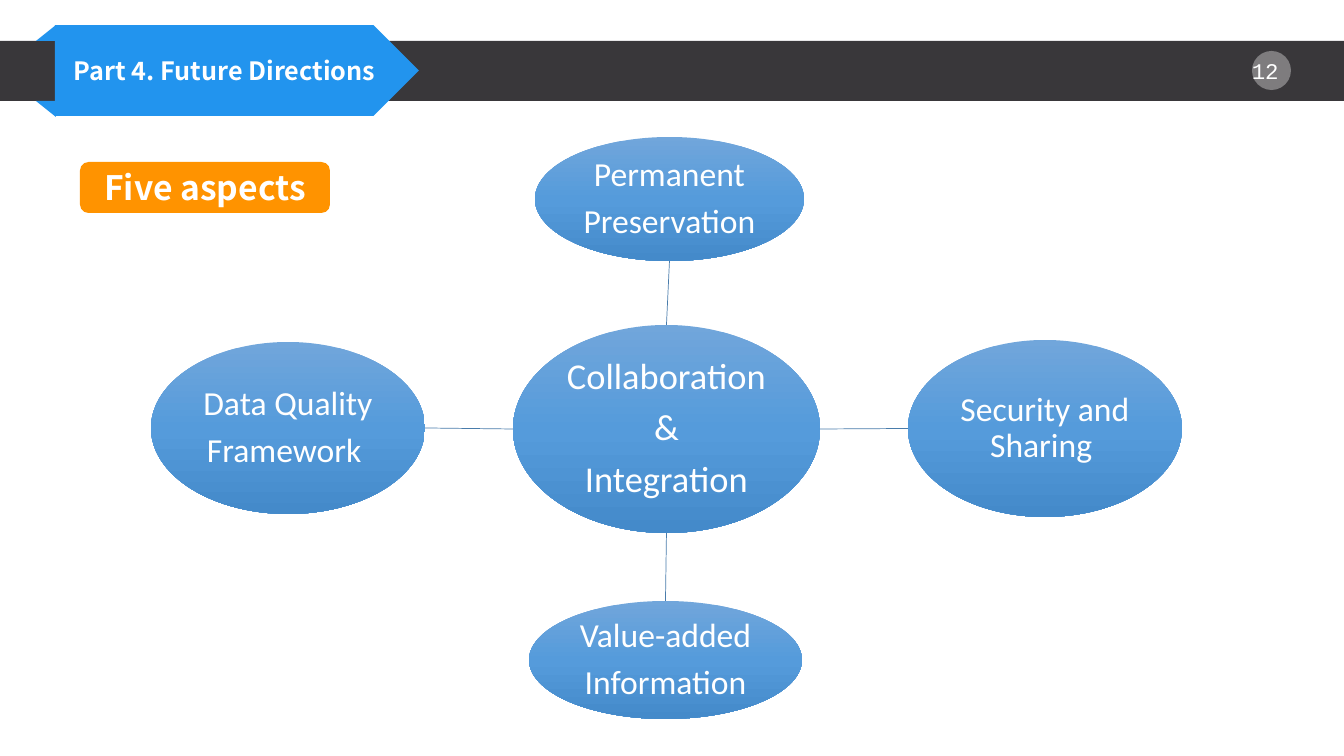
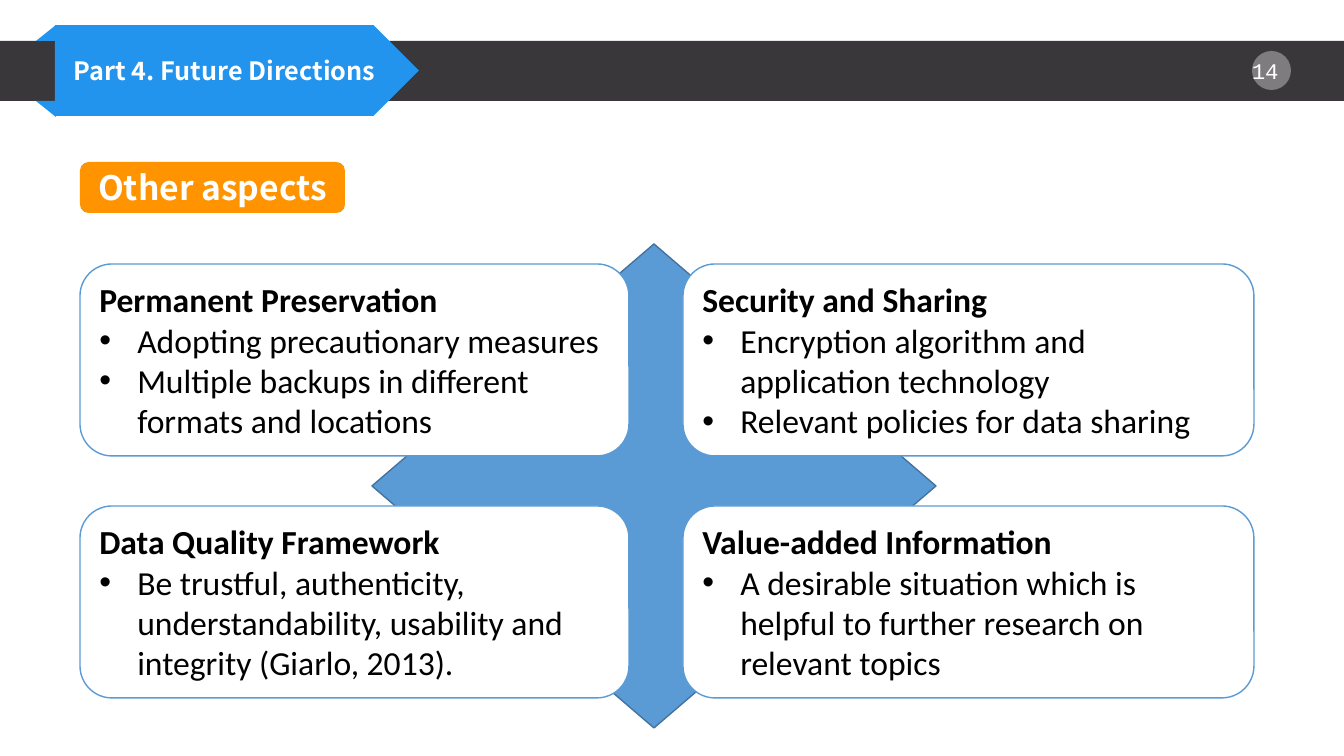
from copy import deepcopy

from pptx import Presentation
from pptx.dml.color import RGBColor
from pptx.enum.shapes import MSO_CONNECTOR as CONNECTOR, MSO_SHAPE as SHAPE
from pptx.enum.text import MSO_ANCHOR as ANCHOR, PP_ALIGN as ALIGN
from pptx.oxml.ns import qn
from pptx.oxml.xmlchemy import OxmlElement
from pptx.util import Pt

SLIDE_W, SLIDE_H = 1344, 756
SCALE = 12192000 / SLIDE_W

WHITE = RGBColor(0xFF, 0xFF, 0xFF)
BLACK = RGBColor(0x00, 0x00, 0x00)
CHARCOAL = RGBColor(0x39, 0x37, 0x3A)
RIBBON_BLUE = RGBColor(0x22, 0x94, 0xEE)
ORANGE = RGBColor(0xFF, 0x93, 0x00)
PANEL_BLUE = RGBColor(0x5B, 0x9B, 0xD5)
DIAMOND_EDGE = RGBColor(0x43, 0x73, 0x9E)
SPOKE_BLUE = RGBColor(0x49, 0x7C, 0xAB)
BUBBLE_STOPS = (
    (0, RGBColor(0x71, 0xA6, 0xDB)),
    (0.5, RGBColor(0x55, 0x9B, 0xDB)),
    (1, RGBColor(0x44, 0x8A, 0xCA)),
)

TITLE_FONT = "Noto Sans CJK SC"
BODY_FONT = "Calibri"
NUMBER_FONT = "Courier New"

SECTION = "Part 4. Future Directions"
HUB = ((513, 325, 307, 208), ("Collaboration", "&", "Integration"))
SATELLITES = (
    ((0, -1), (535, 137, 269, 124), ("Permanent", "Preservation")),
    ((1, 0), (908, 340, 274, 177), ("Security and Sharing ",)),
    ((0, 1), (529, 601, 273, 118), ("Value-added", "Information")),
    ((-1, 0), (151, 342, 274, 172), ("Data Quality", "Framework ")),
)
PANELS = (
    (("Permanent Preservation",
      "Adopting precautionary measures",
      "Multiple backups in different formats and locations"),
     ("Security and Sharing",
      "Encryption algorithm and application technology",
      "Relevant policies for data sharing")),
    (("Data Quality Framework",
      "Be trustful, authenticity, understandability, usability and "
      "integrity (Giarlo, 2013)."),
     ("Value-added Information",
      "A desirable situation which is helpful to further research on "
      "relevant topics")),
)


def px(length):
    """Turn px into EMU."""
    return round(length * SCALE)


def add_box(slide, preset, box, fill=None, line=None):
    """Add a flat preset shape with an optional solid fill and outline."""
    shape = slide.shapes.add_shape(preset, *map(px, box))
    shape.shadow.inherit = False
    if fill is not None:
        shape.fill.solid()
        shape.fill.fore_color.rgb = fill
    if line is None:
        shape.line.fill.background()
    else:
        shape.line.color.rgb = line
        shape.line.width = Pt(1)
    return shape


def write(shape, lines, size, font=BODY_FONT, color=WHITE, bold=False,
          align=ALIGN.CENTER, anchor=ANCHOR.MIDDLE, inset=None, wrap=True,
          spacing=None, gap=0, bullets=False):
    """Write lines as paragraphs; with bullets, the first is a bold heading."""
    frame = shape.text_frame
    frame.word_wrap = wrap
    frame.vertical_anchor = anchor
    if inset is not None:
        frame.margin_left = frame.margin_right = px(inset)
        frame.margin_top = frame.margin_bottom = px(inset)
    for index, line in enumerate(lines):
        paragraph = frame.add_paragraph() if index else frame.paragraphs[0]
        paragraph.alignment = align
        paragraph.line_spacing = spacing
        if index and gap:
            paragraph.space_before = Pt(gap)
        if index and bullets:
            add_bullet(paragraph)
        run = paragraph.add_run()
        run.text = line
        run.font.name = font
        run.font.size = Pt(size)
        run.font.bold = bold or (bullets and index == 0)
        run.font.color.rgb = color


def add_bullet(paragraph, indent=38):
    """Give a paragraph a hanging round bullet."""
    properties = paragraph._p.get_or_add_pPr()
    properties.set("marL", str(px(indent)))
    properties.set("indent", str(-px(indent)))
    bullet_font = OxmlElement("a:buFont")
    bullet_font.set("typeface", "Arial")
    bullet = OxmlElement("a:buChar")
    bullet.set("char", "•")
    properties.extend((bullet_font, bullet))


def add_fold(slide, box, flips):
    """Add a ribbon fold flipped along the given axes."""
    fold = add_box(slide, SHAPE.RIGHT_TRIANGLE, box, RIBBON_BLUE)
    for flip in flips:
        fold._element.spPr.xfrm.set(flip, "1")


def add_header(slide, number):
    """Draw the dark band, the section ribbon and the page number."""
    add_box(slide, SHAPE.RECTANGLE, (0, 41, SLIDE_W, 60), CHARCOAL)
    disc = add_box(slide, SHAPE.OVAL, (1252, 51, 39, 39), WHITE)
    alpha = OxmlElement("a:alpha")
    alpha.set("val", "35000")
    disc._element.spPr.find(".//" + qn("a:srgbClr")).append(alpha)
    page = slide.shapes.add_textbox(*map(px, (1236, 52, 72, 37)))
    write(page, [f"{number} "], 16, NUMBER_FONT, anchor=ANCHOR.TOP)
    add_box(slide, SHAPE.PENTAGON, (55, 25, 364, 91), RIBBON_BLUE)
    add_fold(slide, (36, 25, 20, 16), ("flipH",))
    add_fold(slide, (36, 101, 20, 16), ("flipH", "flipV"))
    section = slide.shapes.add_textbox(*map(px, (64, 50, 563, 40)))
    write(section, [SECTION], 18, TITLE_FONT, bold=True, align=ALIGN.LEFT)


def add_tag(slide, label, width):
    """Draw the orange slide heading."""
    tag = add_box(slide, SHAPE.ROUNDED_RECTANGLE, (80, 162, width, 51), ORANGE)
    write(tag, [label], 24, TITLE_FONT, bold=True, inset=0, wrap=False)


def add_bubble(slide, box, lines, size):
    """Draw one shaded ellipse with its label."""
    bubble = add_box(slide, SHAPE.OVAL, box)
    bubble.fill.gradient()
    bubble.fill.gradient_angle = 270
    stop_list = bubble._element.spPr.find(".//" + qn("a:gsLst"))
    stop_list.append(deepcopy(stop_list[0]))
    for stop, (position, color) in zip(bubble.fill.gradient_stops, BUBBLE_STOPS):
        stop.position = position
        stop.color.rgb = color
    write(bubble, lines, size, inset=2, spacing=0.9, gap=round(size / 3, 1))


def edge_point(box, dx, dy):
    """Return the point on the edge of a box in the given direction."""
    left, top, width, height = box
    return left + width * (1 + dx) / 2, top + height * (1 + dy) / 2


def add_spoke(slide, start, end):
    """Draw a thin line between two points."""
    spoke = slide.shapes.add_connector(
        CONNECTOR.STRAIGHT, *map(px, (*start, *end)))
    spoke.line.color.rgb = SPOKE_BLUE
    spoke.line.width = Pt(0.5)
    spoke._element.spPr.append(OxmlElement("a:effectLst"))


def add_wheel(slide):
    """Draw the hub and its four satellites joined by spokes."""
    hub_box, hub_lines = HUB
    add_bubble(slide, hub_box, hub_lines, 26)
    for (dx, dy), box, lines in SATELLITES:
        add_spoke(slide, edge_point(hub_box, dx, dy), edge_point(box, -dx, -dy))
        add_bubble(slide, box, lines, 24)


def add_panel_grid(slide):
    """Draw two rows of panels."""
    for row, panels in enumerate(PANELS):
        for (left, width), lines in zip(((80, 549), (683, 571)), panels):
            panel = add_box(slide, SHAPE.ROUNDED_RECTANGLE,
                            (left, 264 + 242 * row, width, 192),
                            WHITE, PANEL_BLUE)
            write(panel, lines, 24, color=BLACK, align=ALIGN.LEFT, bullets=True)


def build_five_aspects(slide):
    """Build the slide with the wheel of five aspects."""
    add_header(slide, 12)
    add_tag(slide, "Five aspects", 250)
    add_wheel(slide)


def build_other_aspects(slide):
    """Build the slide with four panels over a diamond."""
    add_header(slide, 14)
    add_box(slide, SHAPE.DIAMOND, (372, 244, 564, 484), PANEL_BLUE, DIAMOND_EDGE)
    add_tag(slide, "Other aspects", 265)
    add_panel_grid(slide)


def main():
    """Build and save the presentation."""
    deck = Presentation()
    deck.slide_width, deck.slide_height = px(SLIDE_W), px(SLIDE_H)
    for build in (build_five_aspects, build_other_aspects):
        build(deck.slides.add_slide(deck.slide_layouts[6]))
    deck.save("out.pptx")


if __name__ == "__main__":
    main()
